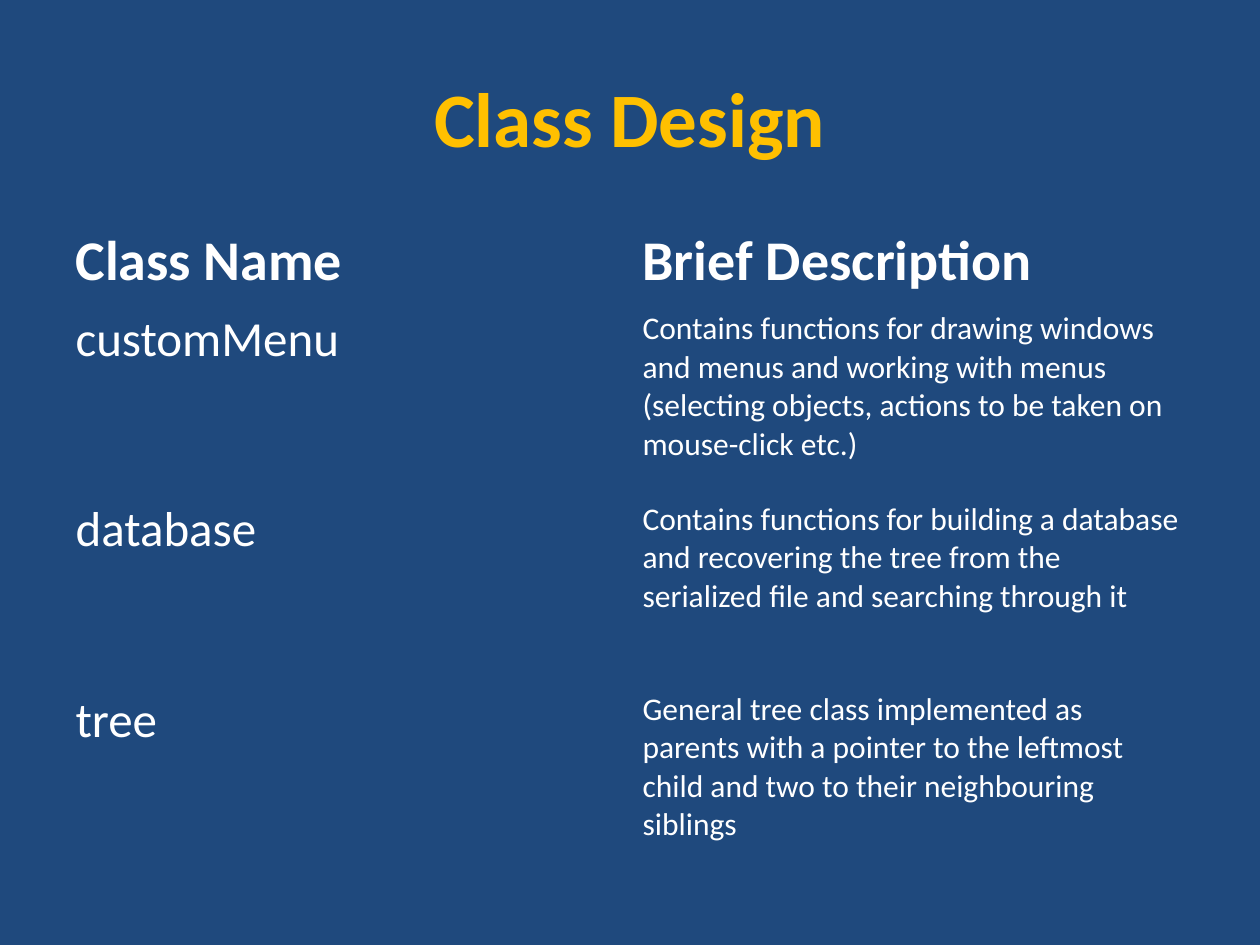
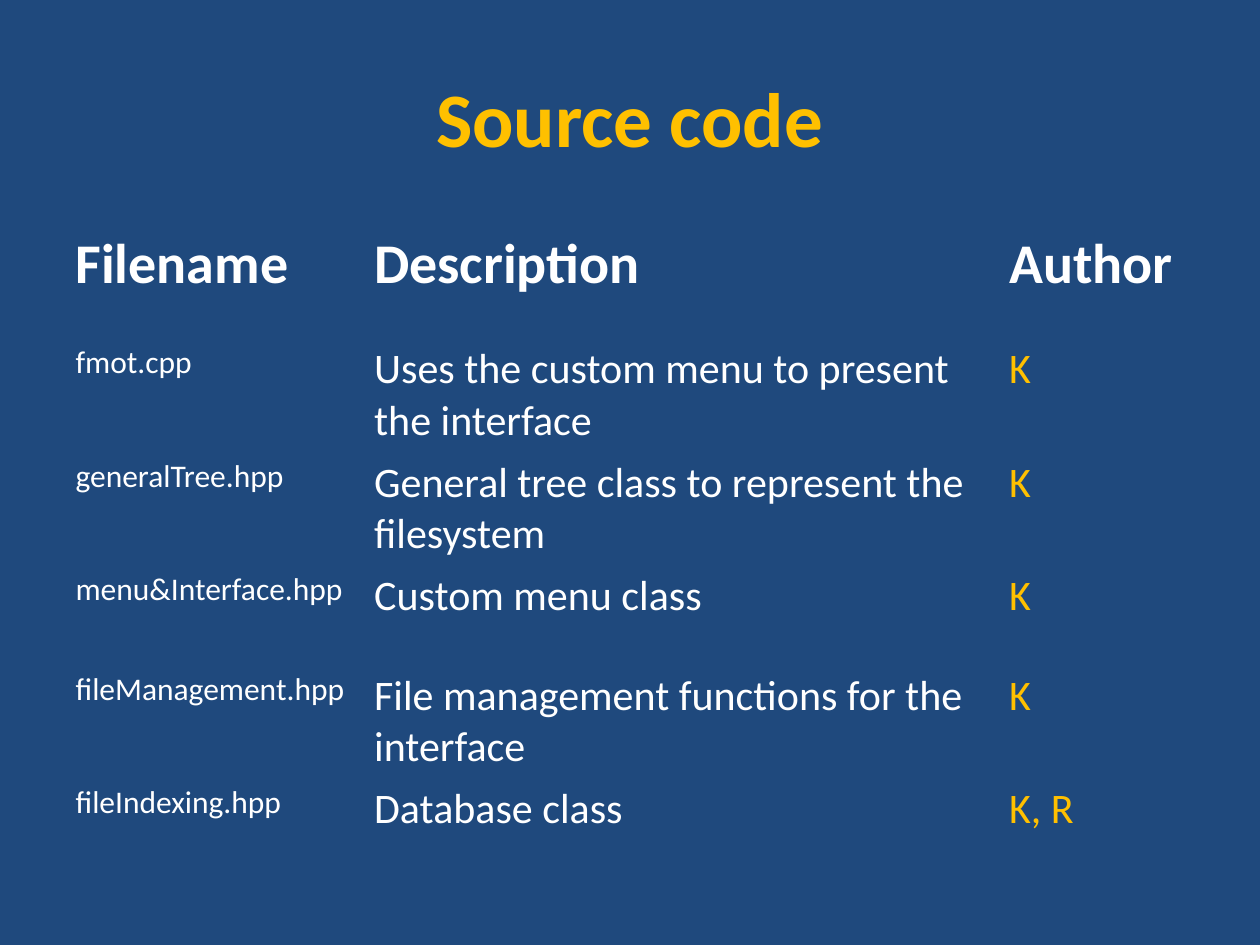
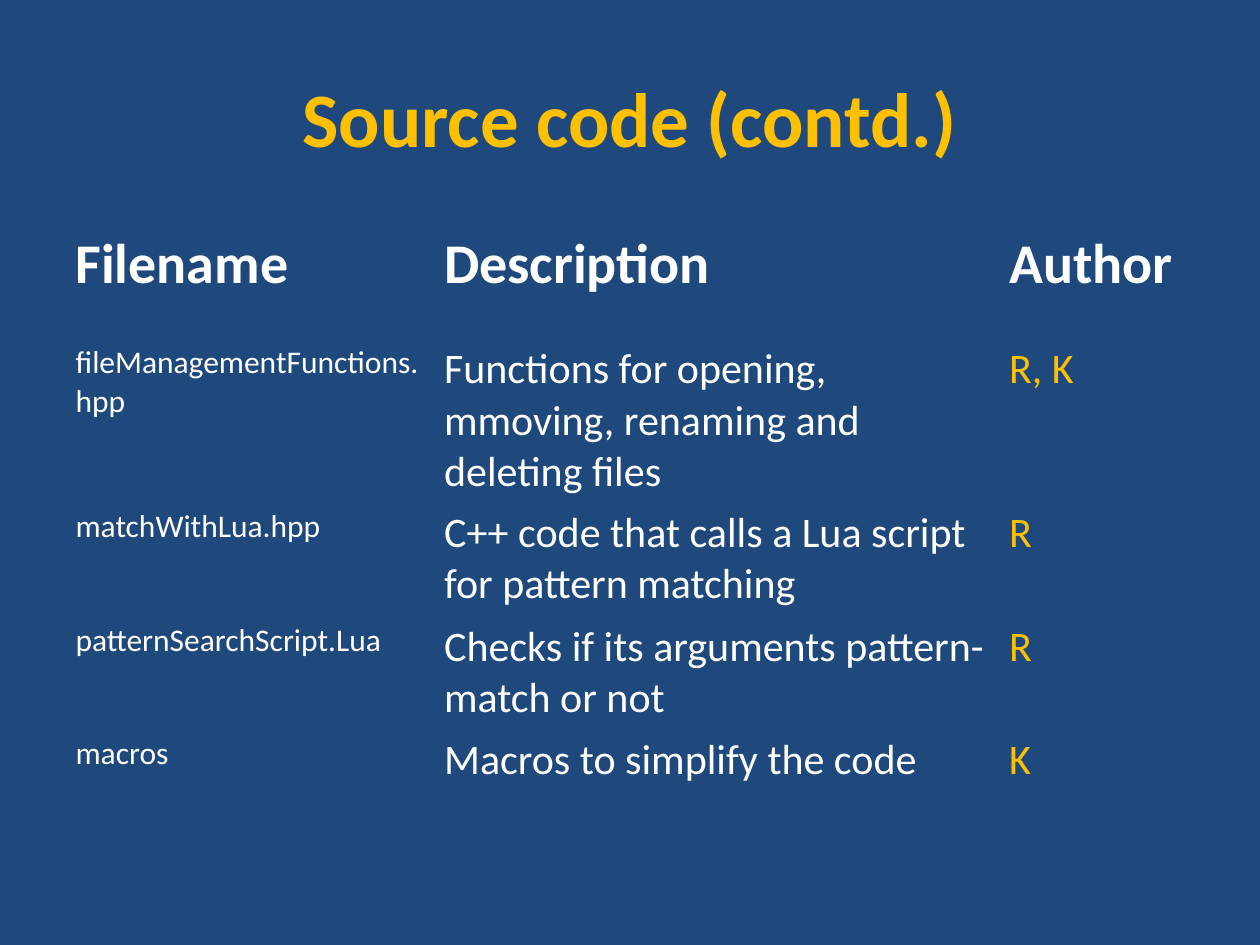
"""Builds three slides that list the classes and source files of a project."""
from lxml import etree
from pptx import Presentation
from pptx import util as u
from pptx.dml.color import RGBColor
from pptx.enum import text
from pptx.oxml.ns import qn

HUES = {"back": "1F497D", "gold": "FFC000", "white": "FFFFFF"}


class Deck:
    """Holds the style and the current slide on a grid of 100 columns by 75 rows."""

    font = "Calibri"
    left, wide = 5, 90

    def __init__(self):
        self.prs = Presentation()
        self.prs.slide_width, self.prs.slide_height = u.Inches(10), u.Inches(7.5)
        self.slide = None

    def x(self, cols):
        return round(self.prs.slide_width * cols / 100)

    def y(self, rows):
        return round(self.prs.slide_height * rows / 75)

    def hue(self, name):
        return RGBColor.from_string(HUES[name])

    def label(self, frame, words, size, hue="white", bold=False):
        para = frame.paragraphs[0]
        para.text = words
        font = para.font
        font.name, font.size, font.bold = self.font, u.Pt(size), bold
        font.color.rgb = self.hue(hue)
        return para

    def page(self, title):
        self.slide = self.prs.slides.add_slide(self.prs.slide_layouts[6])
        fill = self.slide.background.fill
        fill.solid()
        fill.fore_color.rgb = self.hue("back")
        box = self.slide.shapes.add_textbox(
            self.x(self.left), self.y(3), self.x(self.wide), self.y(12.5))
        frame = box.text_frame
        frame.word_wrap = True
        frame.vertical_anchor = text.MSO_ANCHOR.MIDDLE
        para = self.label(frame, title, 44, "gold", True)
        para.alignment = text.PP_ALIGN.CENTER

    def clear(self, cell):
        props = cell._tc.get_or_add_tcPr()
        for side in ("a:lnL", "a:lnR", "a:lnT", "a:lnB"):
            line = etree.SubElement(props, qn(side), w="0")
            etree.SubElement(line, qn("a:noFill"))
        cell.fill.background()

    def table(self, top, cols, rows, looks, data):
        shape = self.slide.shapes.add_table(
            len(rows), len(cols), self.x(self.left), self.y(top),
            self.x(self.wide), self.y(sum(rows)))
        grid = shape.table
        grid.first_row = grid.horz_banding = False
        for col, width in zip(grid.columns, cols):
            col.width = self.x(width)
        for row, height in zip(grid.rows, rows):
            row.height = self.y(height)
        for r, line in enumerate(data):
            for c, words in enumerate(line):
                cell = grid.cell(r, c)
                self.clear(cell)
                look = looks[c] if r else (32, "white", True)
                self.label(cell.text_frame, words, *look)

    def files(self, title, cols, data):
        self.page(title)
        rows = [9, 7.6] + [7.9] * (len(data) - 1)
        looks = [(18,), (24,), (24, "gold")]
        self.table(17.8, cols, rows, looks,
                   [("Filename", "Description", "Author"), *data])


def main():
    deck = Deck()
    deck.page("Class Design")
    deck.table(17.5, [45, 45], [6.6] + [15.1] * 3, [(28,), (18,)], [
        ("Class Name", "Brief Description"),
        ("customMenu", "Contains functions for drawing windows and menus and working "
                       "with menus (selecting objects, actions to be taken on "
                       "mouse-click etc.)"),
        ("database", "Contains functions for building a database and recovering the "
                     "tree from the serialized file and searching through it"),
        ("tree", "General tree class implemented as parents with a pointer to the "
                 "leftmost child and two to their neighbouring siblings"),
    ])
    deck.files("Source code", [23.7, 50.4, 15.9], [
        ("fmot.cpp", "Uses the custom menu to present the interface", "K"),
        ("generalTree.hpp", "General tree class to represent the filesystem", "K"),
        ("menu&Interface.hpp", "Custom menu class", "K"),
        ("fileManagement.hpp", "File management functions for the interface", "K"),
        ("fileIndexing.hpp", "Database class", "K, R"),
    ])
    deck.files("Source code (contd.)", [29.25, 44.85, 15.9], [
        ("fileManagementFunctions.hpp",
         "Functions for opening, mmoving, renaming and deleting files", "R, K"),
        ("matchWithLua.hpp", "C++ code that calls a Lua script for pattern matching", "R"),
        ("patternSearchScript.Lua", "Checks if its arguments pattern-match or not", "R"),
        ("macros", "Macros to simplify the code", "K"),
    ])
    deck.prs.save("out.pptx")


if __name__ == "__main__":
    main()
